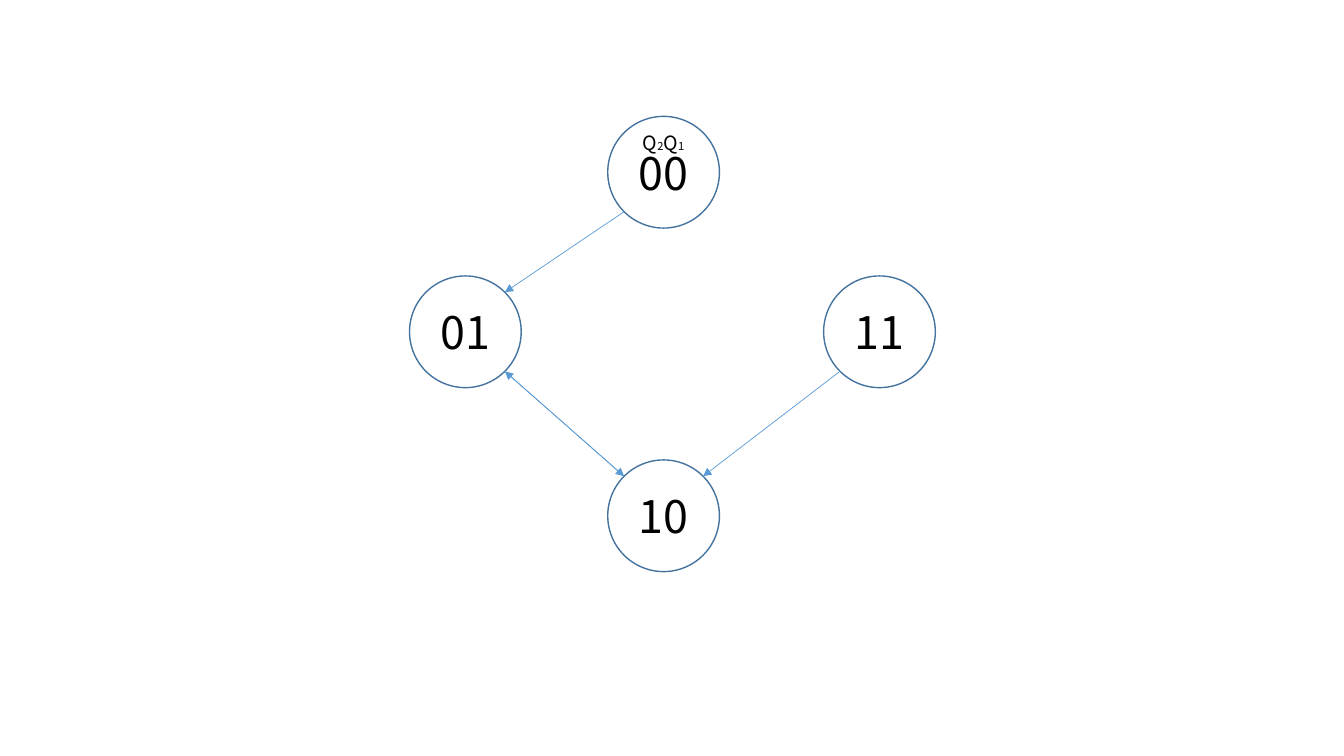
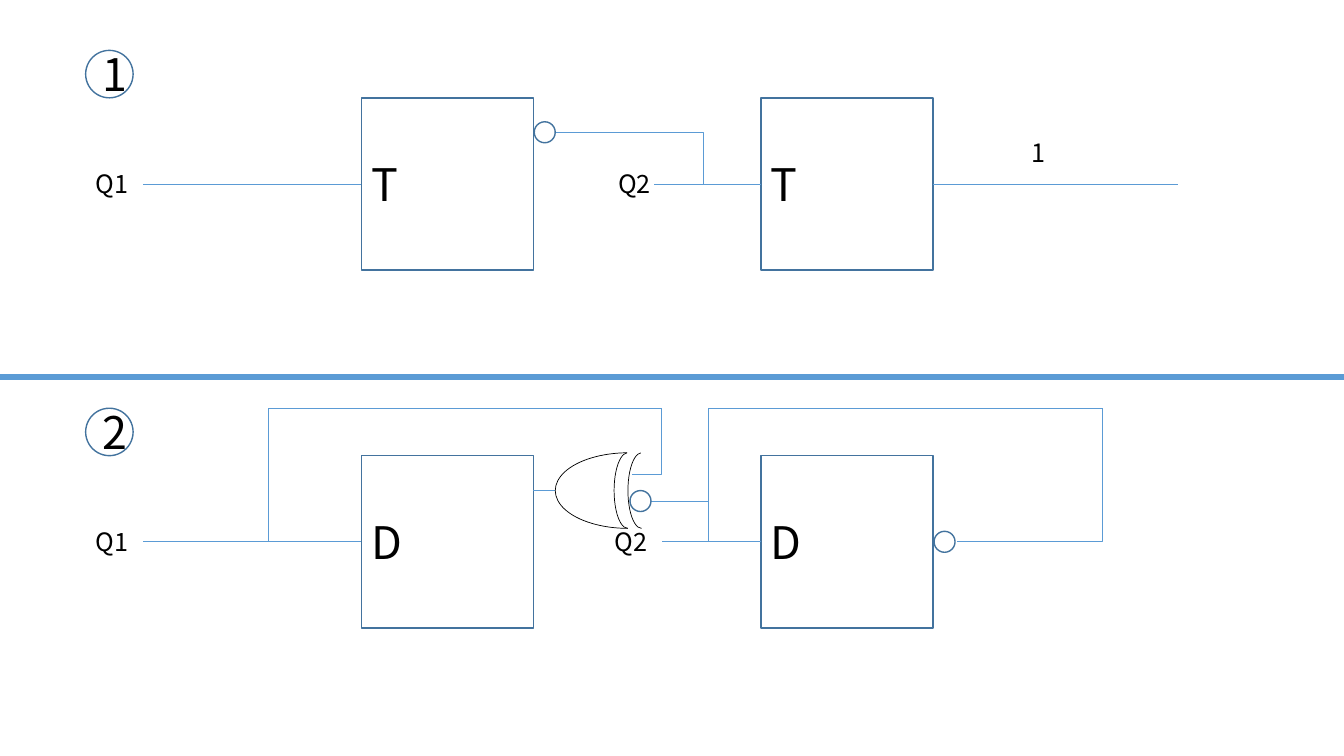
from math import copysign, sqrt

from lxml.etree import SubElement
from pptx import Presentation
from pptx.dml.color import RGBColor
from pptx.enum.shapes import MSO_CONNECTOR as Link, MSO_SHAPE as Kind
from pptx.enum.text import MSO_AUTO_SIZE as Fit, PP_ALIGN as Align
from pptx.oxml.ns import qn
from pptx.util import Pt

FONT = "Noto Sans CJK KR"
OUTLINE, WIRE, INK = "43739E", "5B9BD5", "000000"
COLUMNS, ROWS = 160, 90
CELL = 76200
color = RGBColor.from_string

deck = Presentation()
deck.slide_width, deck.slide_height = COLUMNS * CELL, ROWS * CELL
blank = deck.slide_layouts[6]


def draw_shape(page, kind, left, top, width, height, text="", align=Align.CENTER, line=OUTLINE, weight=1):
    shape = page.shapes.add_shape(kind, *(round(n * CELL) for n in (left, top, width, height)))
    shape.shadow.inherit = False
    shape.fill.background()
    shape.line.color.rgb = color(line)
    shape.line.width = Pt(weight)
    if text:
        para = shape.text_frame.paragraphs[0]
        para.text, para.alignment = text, align
        para.font.name, para.font.size = FONT, Pt(32)
        para.font.color.rgb = color(INK)
    return shape


def draw_wire(page, start, end, weight=0.5, arrow=False, bent=False):
    kind = Link.ELBOW if bent else Link.STRAIGHT
    wire = page.shapes.add_connector(kind, *(round(n * CELL) for n in (*start, *end)))
    wire.line.color.rgb = color(WIRE)
    wire.line.width = Pt(weight)
    properties = wire._element.spPr
    if arrow:
        SubElement(properties.find(qn("a:ln")), qn("a:tailEnd"), type="triangle")
    if bent:
        SubElement(properties.find(".//" + qn("a:avLst")), qn("a:gd"), name="adj1", fmla="val 0")
    SubElement(properties, qn("a:effectLst"))
    return wire


page = deck.slides.add_slide(blank)
states = {"00": (79, 20.5), "01": (55.4, 39.5), "11": (104.7, 39.5), "10": (79, 61.4)}
diameter = 13.3
reach = diameter / 2 / sqrt(2)

for name, (x, y) in states.items():
    draw_shape(page, Kind.OVAL, x - diameter / 2, y - diameter / 2, diameter, diameter, name)

for source, target in [("00", "01"), ("01", "10"), ("10", "01"), ("11", "10")]:
    (x1, y1), (x2, y2) = states[source], states[target]
    dx, dy = copysign(reach, x2 - x1), copysign(reach, y2 - y1)
    draw_wire(page, (x1 + dx, y1 + dy), (x2 - dx, y2 - dy), arrow=True)

box = page.shapes.add_textbox(*(round(n * CELL) for n in (74.3, 15, 9.4, 4.1)))
box.text_frame.word_wrap = True
box.text_frame.auto_size = Fit.SHAPE_TO_FIT_TEXT
para = box.text_frame.paragraphs[0]
para.alignment = Align.CENTER
para.font.name = FONT
para.font.color.rgb = color(INK)
for text, size in [("Q", 14), ("2", 8), ("Q", 14), ("1", 8)]:
    span = para.add_run()
    span.text, span.font.size = text, Pt(size)

page = deck.slides.add_slide(blank)
row_gap, block_size, bubble_size = 42.6, 20.5, 2.5
block_lefts = (43, 90.6)
block_top = 11.65
wire_rows = [block_top + block_size / 2 + row * row_gap for row in range(2)]
upper, lower = wire_rows
loop_top = 48.6

draw_wire(page, (0, 44.9), (COLUMNS, 44.9), weight=4)

for row, (number, letter, second_input) in enumerate([("1", "T", 77.9), ("2", "D", 78.8)]):
    shift = row * row_gap
    draw_shape(page, Kind.OVAL, 10.2, 6 + shift, 5.65, 5.65, number)
    for left, wire_end in zip(block_lefts, (17, second_input)):
        block = draw_shape(page, Kind.RECTANGLE, left, block_top + shift, block_size, block_size, letter, Align.LEFT)
        wire = draw_wire(page, (left, wire_rows[row]), (wire_end, wire_rows[row]))
        wire.begin_connect(block, 1)
    if row == 0:
        output = draw_wire(page, (left + block_size, upper), (140.2, upper))
        output.begin_connect(block, 3)

for start, end in [
    ((83.8, upper), (66.2, 15.75)),
    ((84.3, lower), (131.2, loop_top)),
    ((131.2, loop_top), (113.9, lower)),
    ((31.9, lower), (78.7, loop_top)),
    ((78.7, loop_top), (75.2, 56.5)),
]:
    draw_wire(page, start, end, bent=True)

for start, end, y in [(63.5, 66.1, 58.35), (77.5, 84.4, 59.65)]:
    draw_wire(page, (start, y), (end, y))

for left, middle in [(63.6, 15.75), (111.2, lower), (75, 59.65)]:
    draw_shape(page, Kind.OVAL, left, middle - bubble_size / 2, bubble_size, bubble_size)

for left, width in [(73.1, 3.25), (66.1, 17.3), (74.75, 3.25)]:
    arc = draw_shape(page, Kind.ARC, left, 53.9, width, 9, line=INK, weight=0.5)
    arc.rotation = 180
    arc.adjustments[0], arc.adjustments[1] = 162, 53.29

for text, left, middle, width in [
    ("1", 121.6, 18.2, 4.1),
    ("Q1", 10.2, upper, 6.5),
    ("Q2", 72.4, upper, 6.5),
    ("Q1", 10.2, lower, 6.5),
    ("Q2", 72, lower, 6.5),
]:
    box = page.shapes.add_textbox(*(round(n * CELL) for n in (left, middle - 2.45, width, 4.8)))
    box.text_frame.word_wrap = False
    box.text_frame.auto_size = Fit.SHAPE_TO_FIT_TEXT
    para = box.text_frame.paragraphs[0]
    para.text = text
    para.font.name, para.font.size = FONT, Pt(18)
    para.font.color.rgb = color(INK)

deck.save("out.pptx")
